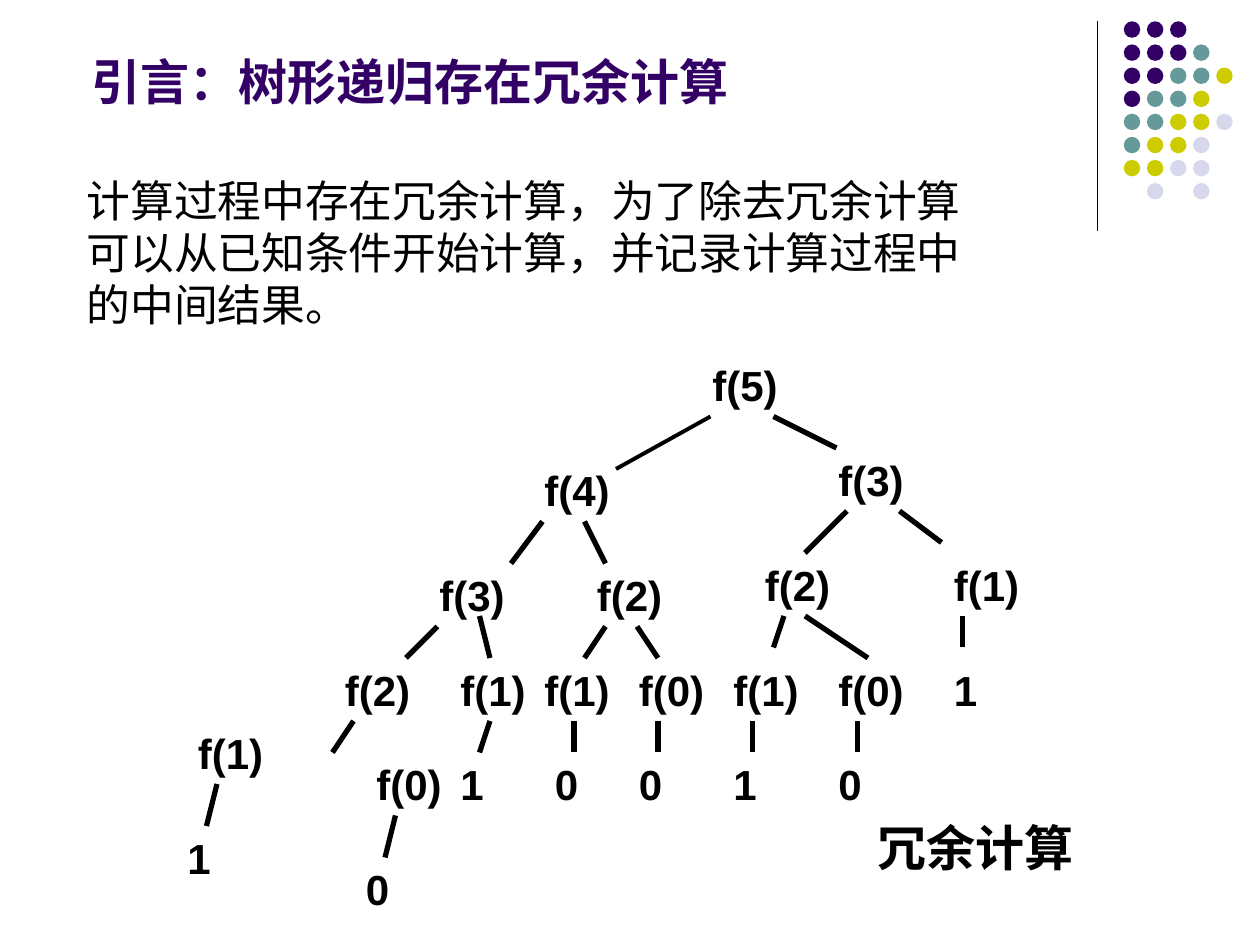
from dataclasses import dataclass

from lxml.etree import SubElement
from pptx import Presentation
from pptx.dml.color import RGBColor
from pptx.enum.shapes import MSO_CONNECTOR, MSO_SHAPE
from pptx.enum.text import MSO_AUTO_SIZE
from pptx.oxml.ns import qn
from pptx.slide import Slide
from pptx.util import Pt

COLORS = {
    "ink": "000000",
    "purple": "330066",
    "teal": "669999",
    "olive": "CCCC00",
    "lavender": "D8D8EC",
}
DOT_COLORS = {"P": "purple", "T": "teal", "O": "olive", "L": "lavender"}
DOT_ROWS = ["PPP", "PPPT", "PPTTO", "PTTO", "TTOOL", "TOOL", "OOLL", " L L"]
DOT_LEFT, DOT_TOP, DOT_PITCH, DOT_SIZE = 642.2, 12.2, 13.2, 9.4
CALL_WIDTH, VALUE_WIDTH, NODE_HEIGHT = 52, 27, 36


@dataclass(frozen=True)
class Label:
    text: str
    left: float
    top: float
    width: float
    height: float
    size: float = 24
    font: str = "Arial"
    color: str = "ink"
    bold: bool = True
    wrap: bool = False


@dataclass(frozen=True)
class Branch:
    x1: float
    y1: float
    x2: float
    y2: float
    weight: float = 3


NODES = [
    ("f(5)", 400, 202),
    ("f(4)", 304, 262), ("f(3)", 472, 256),
    ("f(3)", 244, 322), ("f(2)", 334, 322), ("f(2)", 430, 316), ("f(1)", 538, 316),
    ("f(2)", 190, 376), ("f(1)", 256, 376), ("f(1)", 304, 376), ("f(0)", 358, 376),
    ("f(1)", 412, 376), ("f(0)", 472, 376), ("1", 538, 376),
    ("f(1)", 106, 412), ("f(0)", 208, 430), ("1", 256, 430), ("0", 310, 430),
    ("0", 358, 430), ("1", 412, 430), ("0", 472, 430),
    ("1", 100, 472), ("0", 202, 490),
]

BRANCHES = [
    Branch(406, 238, 352, 268, 2.25), Branch(442, 238, 478, 256),
    Branch(310, 298, 292, 322), Branch(334, 298, 346, 322),
    Branch(484, 292, 460, 316), Branch(514, 292, 538, 310),
    Branch(250, 358, 232, 376), Branch(274, 352, 280, 376),
    Branch(346, 358, 334, 376), Branch(364, 358, 376, 376),
    Branch(448, 352, 442, 370), Branch(460, 352, 496, 376),
    Branch(550, 352, 550, 370),
    Branch(202, 412, 190, 430), Branch(280, 412, 274, 430),
    *(Branch(x, 412, x, 430) for x in (328, 376, 430, 490)),
    Branch(124, 448, 118, 472), Branch(226, 466, 220, 490),
]

TITLE = Label("引言：树形递归存在冗余计算", 45.4, 25.9, 378, 41, 28,
              "Noto Sans CJK SC", "purple")
EXPLANATION = Label(
    "计算过程中存在冗余计算，为了除去冗余计算\n"
    "可以从已知条件开始计算，并记录计算过程中\n"
    "的中间结果。",
    42.5, 95.5, 630, 97, 25, "Times New Roman", bold=False, wrap=True)
CAPTION = Label("冗余计算", 494.6, 463.7, 126, 41, 28)


def rgb(name: str) -> RGBColor:
    return RGBColor.from_string(COLORS[name])


def draw_label(slide: Slide, label: Label) -> None:
    box = slide.shapes.add_textbox(
        Pt(label.left), Pt(label.top), Pt(label.width), Pt(label.height))
    frame = box.text_frame
    frame.text = label.text
    frame.word_wrap = label.wrap
    frame.auto_size = MSO_AUTO_SIZE.SHAPE_TO_FIT_TEXT
    for paragraph in frame.paragraphs:
        for run in paragraph.runs:
            run.font.name = label.font
            run.font.size = Pt(label.size)
            run.font.bold = label.bold
            run.font.color.rgb = rgb(label.color)


def draw_branch(slide: Slide, branch: Branch) -> None:
    connector = slide.shapes.add_connector(
        MSO_CONNECTOR.STRAIGHT,
        Pt(branch.x1), Pt(branch.y1), Pt(branch.x2), Pt(branch.y2))
    connector.line.color.rgb = rgb("ink")
    connector.line.width = Pt(branch.weight)
    SubElement(connector.element.spPr, qn("a:effectLst"))


def draw_dots(slide: Slide) -> None:
    for row, codes in enumerate(DOT_ROWS):
        for column, code in enumerate(codes):
            if code == " ":
                continue
            dot = slide.shapes.add_shape(
                MSO_SHAPE.OVAL,
                Pt(DOT_LEFT + column * DOT_PITCH), Pt(DOT_TOP + row * DOT_PITCH),
                Pt(DOT_SIZE), Pt(DOT_SIZE))
            dot.shadow.inherit = False
            dot.fill.solid()
            dot.fill.fore_color.rgb = rgb(DOT_COLORS[code])
            dot.line.fill.background()


def main() -> None:
    presentation = Presentation()
    presentation.slide_width = Pt(720)
    presentation.slide_height = Pt(540)
    slide = presentation.slides.add_slide(presentation.slide_layouts[6])

    draw_branch(slide, Branch(627, 12, 627, 132, 0.75))
    draw_dots(slide)
    for text, left, top in NODES:
        width = CALL_WIDTH if text.startswith("f") else VALUE_WIDTH
        draw_label(slide, Label(text, left, top, width, NODE_HEIGHT))
    for branch in BRANCHES:
        draw_branch(slide, branch)
    for label in (CAPTION, EXPLANATION, TITLE):
        draw_label(slide, label)

    presentation.save("out.pptx")


if __name__ == "__main__":
    main()
